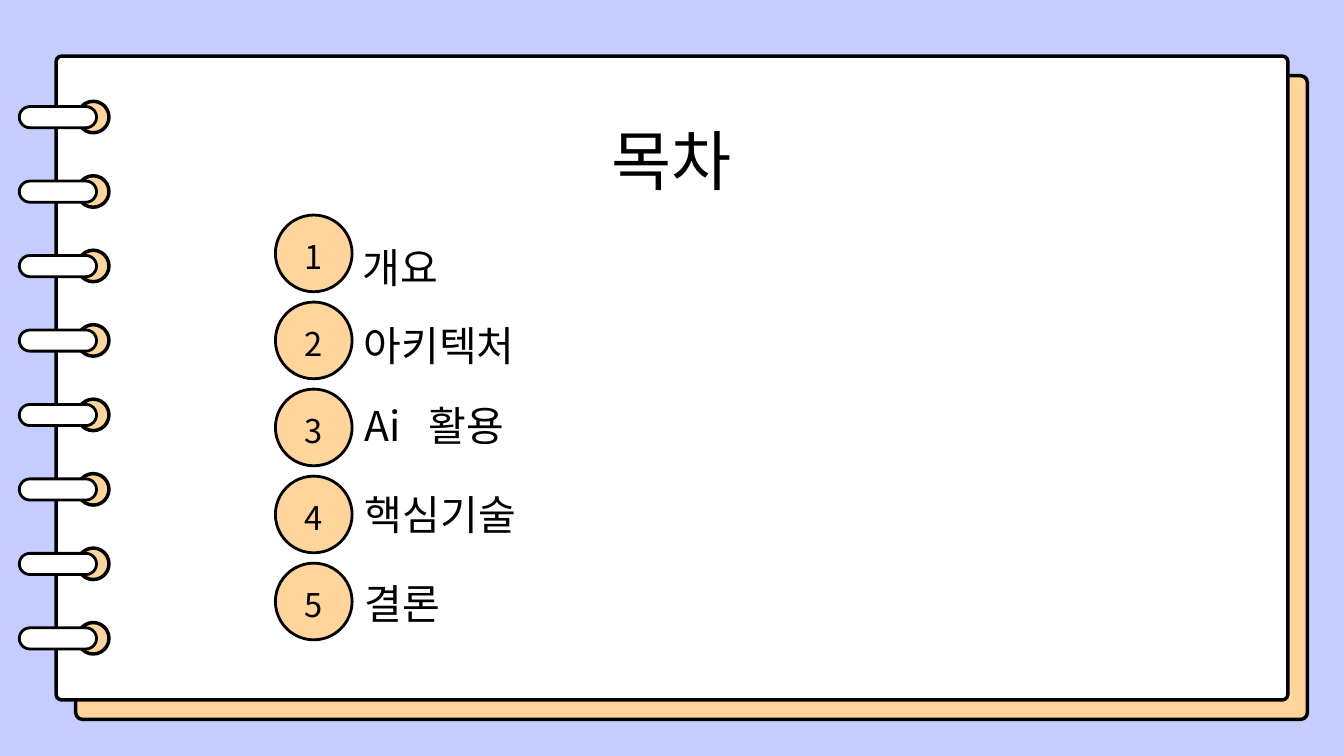
from lxml.etree import SubElement
from pptx import Presentation
from pptx.dml.color import RGBColor
from pptx.enum.shapes import MSO_SHAPE
from pptx.enum.text import MSO_ANCHOR, PP_ALIGN
from pptx.oxml.ns import qn
from pptx.util import Cm, Pt

FONT = "Noto Sans CJK KR"
LILAC, PEACH, WHITE, BLACK = "C5CDFF", "FFD59B", "FFFFFF", "000000"
RINGS = 8
RING_PITCH = 2.815
ROW_PITCH = 3.29
ITEMS = [
    ("개요", 3.31, 0.71),
    ("아키텍처", 3.33, 0.37),
    ("Ai\t활용", 3.38, 0.1),
    ("핵심기술", 3.38, 0.21),
    ("결론", 3.38, 0.25),
]


def rgb(value):
    """Turn a hex string into a colour."""
    return RGBColor.from_string(value)


def set_attrs(obj, **values):
    """Set each named attribute on the object."""
    for name, value in values.items():
        setattr(obj, name, value)


def add_shape(s, kind, x, y, w, h, fill, line, radius=None):
    """Add a filled, outlined shape, with an optional corner radius in cm."""
    sp = s.shapes.add_shape(kind, Cm(x), Cm(y), Cm(w), Cm(h))
    sp.shadow.inherit = False
    sp.fill.solid()
    sp.fill.fore_color.rgb = rgb(fill)
    sp.line.color.rgb = rgb(BLACK)
    sp.line.width = Pt(line)
    if radius is not None:
        sp.adjustments[0] = radius / min(w, h)
    return sp


def write(sp, text, size, align=PP_ALIGN.LEFT, anchor=MSO_ANCHOR.TOP, tab=None):
    """Fill a shape with one styled line, with an optional tab stop in cm."""
    tf = sp.text_frame
    set_attrs(tf, margin_left=0, margin_right=0, margin_top=0, margin_bottom=0,
              word_wrap=True, vertical_anchor=anchor)
    p = tf.paragraphs[0]
    set_attrs(p, alignment=align, line_spacing=Pt(size * 1.4))
    if tab:
        tabs = SubElement(p._p.get_or_add_pPr(), qn("a:tabLst"))
        SubElement(tabs, qn("a:tab"), pos=str(Cm(tab)), algn="l")
    r = p.add_run()
    r.text = text
    set_attrs(r.font, size=Pt(size), name=FONT)
    r.font.color.rgb = rgb(BLACK)
    SubElement(r._r.get_or_add_rPr(), qn("a:ea"), typeface=FONT)


def add_text(s, x, y, w, h, text, size, **options):
    """Add a text box holding one line."""
    write(s.shapes.add_textbox(Cm(x), Cm(y), Cm(w), Cm(h)), text, size, **options)


def add_notebook(s, x, y, w, h):
    """Draw the back cover, the page and its ring binding."""
    for offset, fill, radius in ((0.74, PEACH, 0.27), (0, WHITE, 0.21)):
        add_shape(s, MSO_SHAPE.ROUNDED_RECTANGLE, x + offset, y + offset, w, h,
                  fill, 3.75, radius)
    for i in range(RINGS):
        top = y + 1.71 + i * RING_PITCH
        add_shape(s, MSO_SHAPE.OVAL, x + 0.81, top, 1.19, 1.19, PEACH, 3.75)
        add_shape(s, MSO_SHAPE.ROUNDED_RECTANGLE, x - 1.39, top + 0.2, 2.92, 0.8,
                  WHITE, 3, 0.4)


def add_title(s, x, y, w, h):
    """Place the centred heading."""
    add_text(s, x, y, w, h, "목차", 70, align=PP_ALIGN.CENTER)


def add_contents(s, x, y, w):
    """List the numbered sections from the top of the box down."""
    for i, (label, dx, dy) in enumerate(ITEMS):
        top = y + i * ROW_PITCH
        badge = add_shape(s, MSO_SHAPE.OVAL, x, top, 2.9, 2.9, PEACH, 3)
        write(badge, str(i + 1), 35, align=PP_ALIGN.CENTER, anchor=MSO_ANCHOR.MIDDLE)
        add_text(s, x + dx, top + dy, w - dx, 2.21, label, 44,
                 tab=2.4 if "\t" in label else None)


def main():
    """Build the contents slide and save it."""
    prs = Presentation()
    set_attrs(prs, slide_width=Cm(50.8), slide_height=Cm(28.58))
    s = prs.slides.add_slide(prs.slide_layouts[6])
    s.background.fill.solid()
    s.background.fill.fore_color.rgb = rgb(LILAC)
    add_notebook(s, 2.12, 2.12, 46.56, 24.34)
    add_title(s, 9.5, 4.06, 31.8, 3.35)
    add_contents(s, 10.41, 8.13, 31.2)
    prs.save("out.pptx")


if __name__ == "__main__":
    main()
